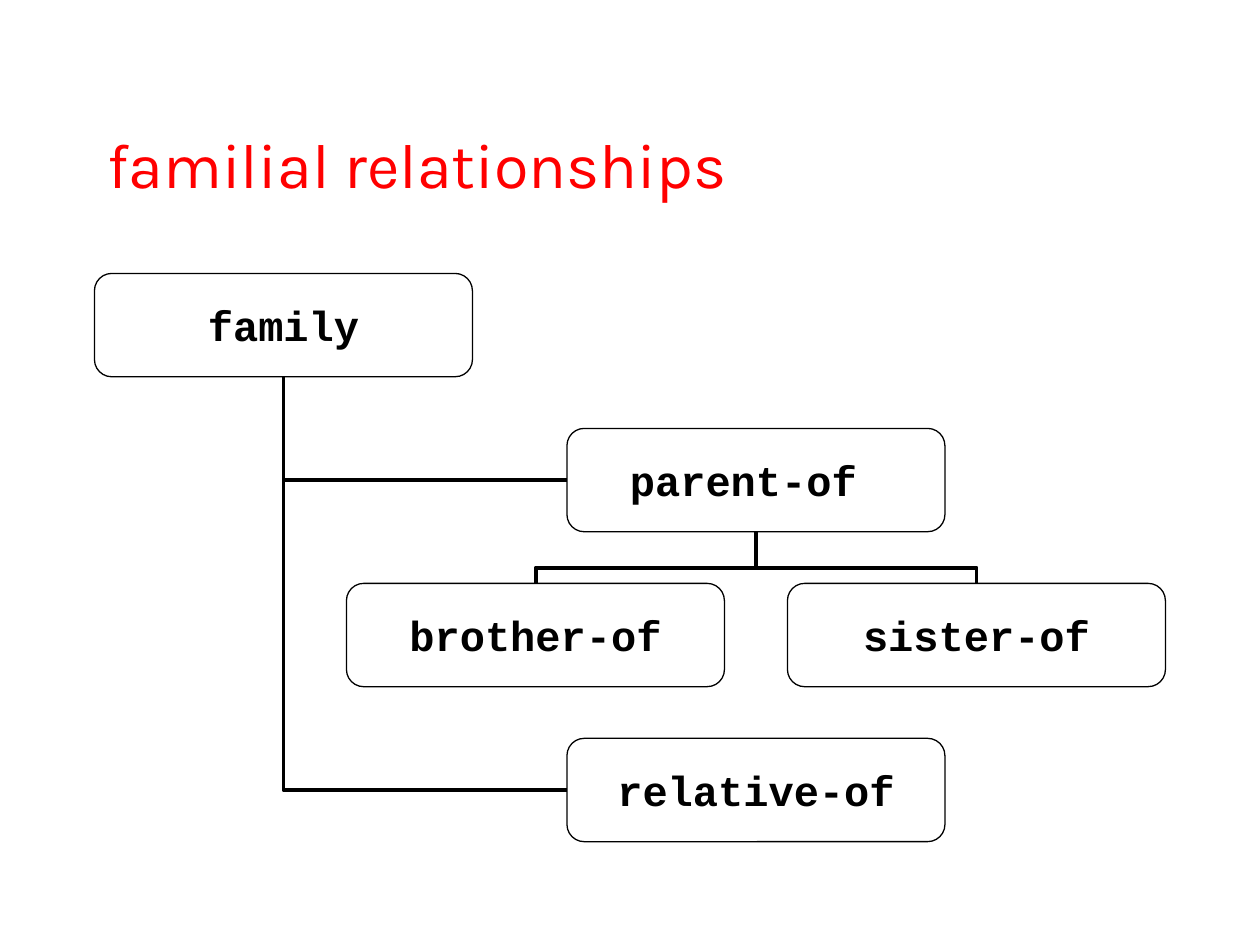
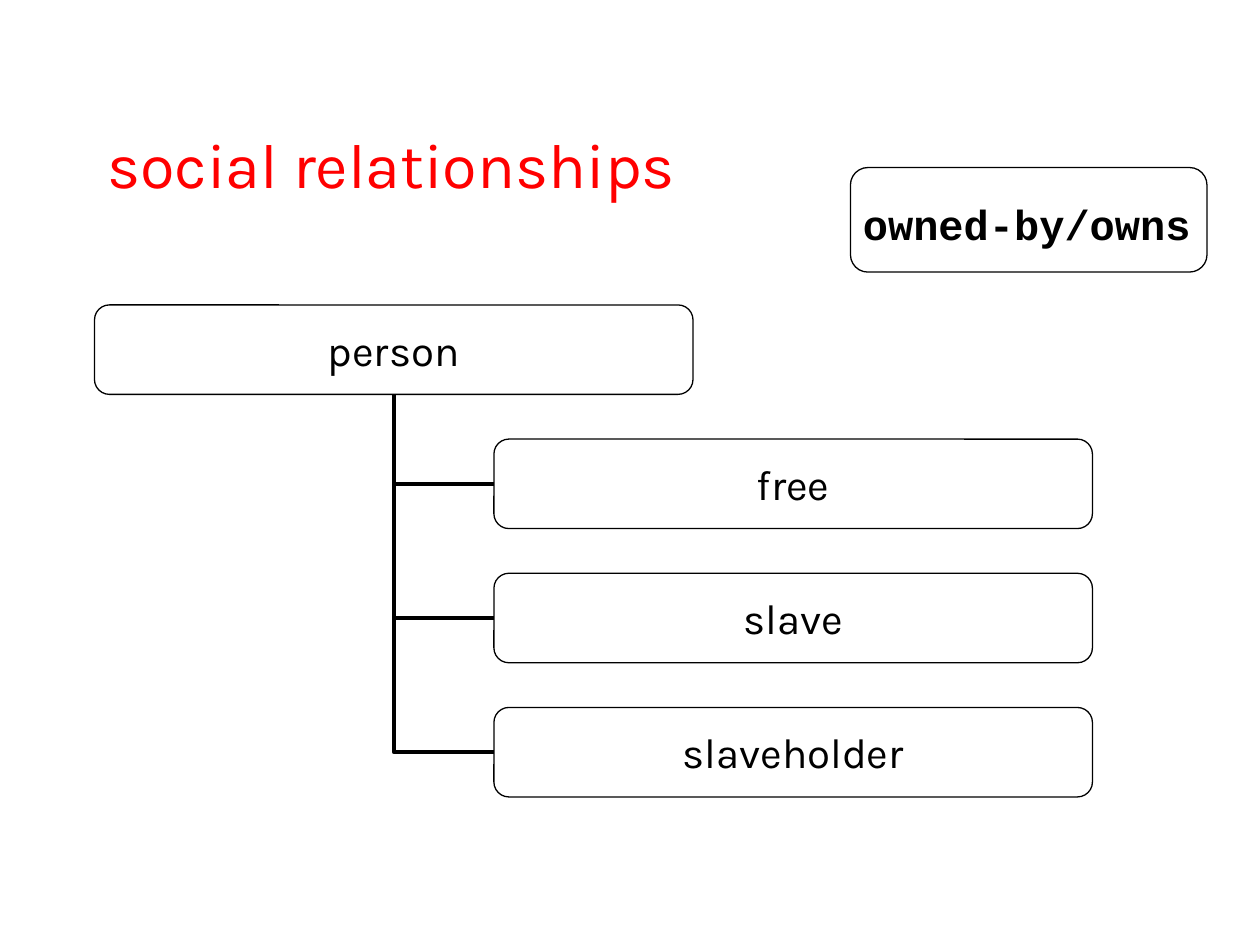
from collections import namedtuple

from lxml import etree
from pptx import Presentation
from pptx.dml.color import RGBColor
from pptx.enum import shapes, text
from pptx.oxml import ns
from pptx.util import Inches, Pt

BLACK, RED, WHITE = "000000", "FF0000", "FFFFFF"
SANS, MONO = "Karla", "Courier New"
ROW_PITCH = 1.5  # in node heights
BUS_ADJUST = 30500  # share of the gap between child and bus, in 1/100000

Box = namedtuple("Box", "left top width height")
TITLE_BOX = Box(0.75, 0.67, 8.5, 1.25)


def color(hex_code):
    return RGBColor.from_string(hex_code)


def inches(*lengths):
    return [Inches(length) for length in lengths]


def write(frame, words, frame_format, alignment, size, font_name, hex_code, bold=False):
    """Put one formatted paragraph in a text frame."""
    for name, value in frame_format.items():
        setattr(frame, name, value)
    para = frame.paragraphs[0]
    para.alignment = alignment
    span = para.add_run()
    span.text = words
    for name, value in {"name": font_name, "size": Pt(size), "bold": bold}.items():
        setattr(span.font, name, value)
    span.font.color.rgb = color(hex_code)


def add_page(deck, title):
    page = deck.slides.add_slide(deck.slide_layouts[5])
    page.background.fill.solid()
    page.background.fill.fore_color.rgb = color(WHITE)
    heading = page.shapes.title
    for name, length in TITLE_BOX._asdict().items():
        setattr(heading, name, Inches(length))
    frame_format = {"vertical_anchor": text.MSO_ANCHOR.MIDDLE,
                    "auto_size": text.MSO_AUTO_SIZE.NONE}
    write(heading.text_frame, title, frame_format, text.PP_ALIGN.LEFT, 36, SANS, RED)
    return page


def add_outline(canvas, box):
    outline = canvas.add_shape(shapes.MSO_SHAPE.ROUNDED_RECTANGLE, *inches(*box))
    outline.shadow.inherit = False
    outline.fill.background()
    outline.line.color.rgb = color(BLACK)
    outline.line.width = Pt(0.75)
    return outline


def add_node(canvas, box, label, font_name, bold):
    node = add_outline(canvas, box)
    frame_format = dict.fromkeys(
        ["margin_left", "margin_top", "margin_right", "margin_bottom"], 0)
    frame_format.update(word_wrap=False, vertical_anchor=text.MSO_ANCHOR.MIDDLE)
    write(node.text_frame, label, frame_format, text.PP_ALIGN.CENTER,
          24, font_name, BLACK, bold)


def add_elbow(canvas, begin, end, degrees):
    """Add an elbow connector whose unrotated corners are begin and end."""
    elbow = canvas.add_connector(shapes.MSO_CONNECTOR.ELBOW, *inches(*begin, *end))
    elbow.line.color.rgb = color(BLACK)
    elbow.line.width = Pt(2.25)
    properties = elbow.element.spPr
    etree.SubElement(properties, ns.qn("a:effectLst"))
    properties.find(ns.qn("a:xfrm")).set("rot", str(degrees * 60000))
    return properties.find(ns.qn("a:prstGeom"))


def join_side(canvas, parent, child):
    """Run from the child's left edge to below the middle of the parent."""
    begin = parent.left + parent.width / 2, parent.top + parent.height
    end = child.left, child.top + child.height / 2
    geometry = add_elbow(canvas, begin, end, 180)
    geometry.set("prst", "bentConnector2")


def join_below(canvas, parent, child):
    """Run from the child's top up to a bus and on to the parent's bottom."""
    rise = child.top - parent.top - parent.height
    shift = child.left - parent.left
    side = 1 if shift > 0 else -1
    center_x = parent.left + parent.width / 2 + shift / 2
    center_y = child.top - rise / 2
    half_x, half_y = side * rise / 2, abs(shift) / 2
    geometry = add_elbow(canvas, (center_x - half_x, center_y + half_y),
                         (center_x + half_x, center_y - half_y),
                         270 if side > 0 else 90)
    adjustments = geometry.find(ns.qn("a:avLst"))
    if adjustments is None:
        adjustments = etree.SubElement(geometry, ns.qn("a:avLst"))
    etree.SubElement(adjustments, ns.qn("a:gd"), name="adj1", fmla=f"val {BUS_ADJUST}")


def add_tree(page, root, nodes, links, font_name, bold=False):
    """Draw nodes, given as label: (offset from root, row), and their links."""
    canvas = page.shapes.add_group_shape().shapes
    boxes = {
        label: root._replace(left=root.left + offset,
                             top=root.top + row * ROW_PITCH * root.height)
        for label, (offset, row) in nodes.items()
    }
    for join, parent, child in links:
        join(canvas, boxes[parent], boxes[child])
    for label, box in boxes.items():
        add_node(canvas, box, label, font_name, bold)


def add_relation(page, box, label):
    add_outline(page.shapes, box)
    caption = page.shapes.add_textbox(*inches(box.left, box.top + 0.2, 2.8, 0.5))
    write(caption.text_frame, label, {"word_wrap": False}, text.PP_ALIGN.LEFT,
          24, MONO, BLACK, bold=True)


def family_page(deck):
    page = add_page(deck, "familial relationships")
    nodes = {"family": (0, 0), "parent-of ": (3.75, 1), "brother-of": (2, 2),
             "sister-of": (5.5, 2), "relative-of": (3.75, 3)}
    links = [(join_side, "family", "relative-of"),
             (join_below, "parent-of ", "sister-of"),
             (join_below, "parent-of ", "brother-of"),
             (join_side, "family", "parent-of ")]
    add_tree(page, Box(0.75, 2.17, 3, 0.82), nodes, links, MONO, bold=True)


def social_page(deck):
    page = add_page(deck, "social relationships")
    kinds = ["free", "slave", "slaveholder"]
    nodes = {"person": (0, 0)}
    nodes.update({kind: (3.17, row) for row, kind in enumerate(kinds, 1)})
    links = [(join_side, "person", kind) for kind in kinds]
    add_tree(page, Box(0.75, 2.42, 4.75, 0.71), nodes, links, SANS)
    add_relation(page, Box(6.75, 1.33, 2.83, 0.83), "owned-by/owns")


def main():
    deck = Presentation()
    deck.slide_width, deck.slide_height = inches(10, 7.5)
    family_page(deck)
    social_page(deck)
    deck.save("out.pptx")


if __name__ == "__main__":
    main()
